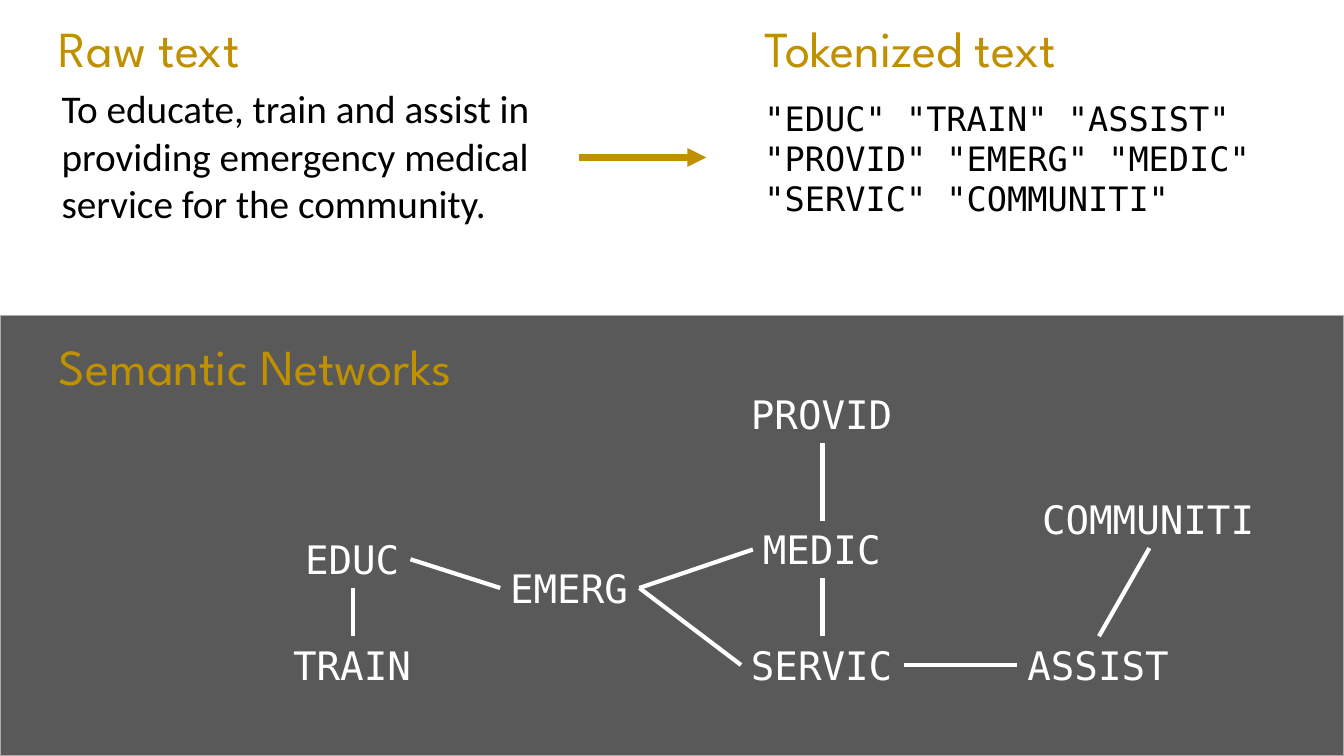
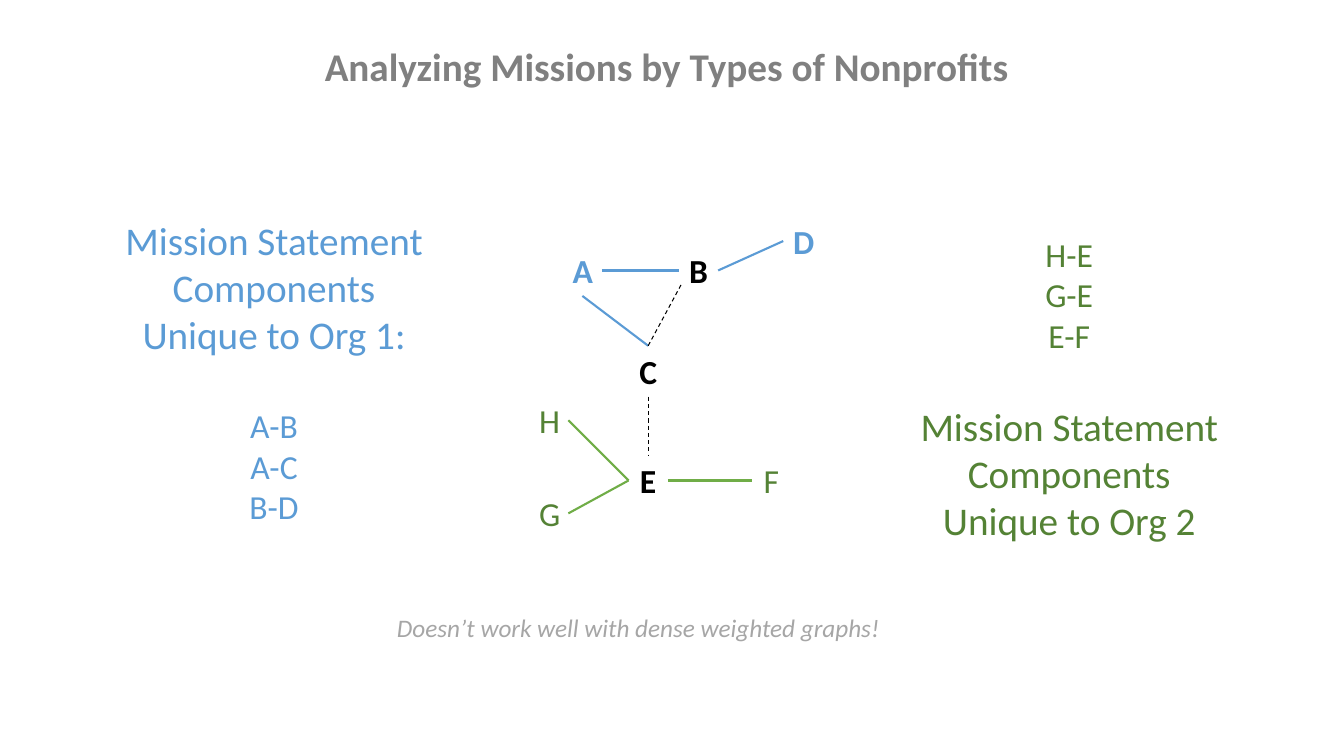
from lxml.etree import SubElement
from pptx import Presentation
from pptx.dml.color import RGBColor
from pptx.enum.dml import MSO_LINE
from pptx.enum.shapes import MSO_CONNECTOR, MSO_SHAPE
from pptx.enum.text import MSO_ANCHOR, MSO_AUTO_SIZE, PP_ALIGN
from pptx.oxml.ns import qn
from pptx.util import Pt

# Shared look
WIDE, HIGH = 960, 540
BLACK = RGBColor(0x00, 0x00, 0x00)
WHITE = RGBColor(0xFF, 0xFF, 0xFF)
GOLD = RGBColor(0xBF, 0x90, 0x00)
SLATE = RGBColor(0x59, 0x59, 0x59)
EDGE = RGBColor(0xAF, 0xAB, 0xAB)
GRAY = RGBColor(0x80, 0x80, 0x80)
PALE = RGBColor(0xA6, 0xA6, 0xA6)
BLUE = RGBColor(0x5B, 0x9B, 0xD5)
GREEN = RGBColor(0x54, 0x82, 0x35)
LEAF = RGBColor(0x70, 0xAD, 0x47)
BODY, MONO, HEAD = "Calibri", "DejaVu Sans Mono", "League Spartan"
TOP, LEFT, BOTTOM, RIGHT = range(4)


def rect(slide, box, fill, edge=None):
    shape = slide.shapes.add_shape(MSO_SHAPE.RECTANGLE, *map(Pt, box))
    shape.shadow.inherit = False
    shape.fill.solid()
    shape.fill.fore_color.rgb = fill
    if edge:
        shape.line.color.rgb = edge
        shape.line.width = Pt(1)
    else:
        shape.line.fill.background()
    return shape


def text(slide, box, *paras, size=28, font=BODY, color=BLACK, bold=False,
         italic=False, align=PP_ALIGN.LEFT, fill=None, inset=0):
    """Each part is a string or a (string, size, space before) tuple."""
    if fill is None:
        shape = slide.shapes.add_textbox(*map(Pt, box))
        frame = shape.text_frame
        frame.word_wrap = False
    else:
        shape = rect(slide, box, fill)
        frame = shape.text_frame
        frame.word_wrap = True
        frame.vertical_anchor = MSO_ANCHOR.MIDDLE
        frame.margin_left = frame.margin_right = Pt(inset)
        frame.margin_top = frame.margin_bottom = 0
    frame.auto_size = MSO_AUTO_SIZE.SHAPE_TO_FIT_TEXT
    for i, item in enumerate(paras):
        words, points, gap = (item, size, 0) if isinstance(item, str) else item
        para = frame.add_paragraph() if i else frame.paragraphs[0]
        para.text = words
        para.alignment = align
        if gap:
            para.space_before = Pt(gap)
        for run in para.runs:
            run.font.name = font
            run.font.size = Pt(points)
            run.font.bold = bold
            run.font.italic = italic
            run.font.color.rgb = color
    return shape


def line(slide, color, width, start=(0, 0), end=(0, 0), dash=False, arrow=False):
    """An end is an (x, y) point or a (shape, side) pair."""
    joins = [not isinstance(spot[0], (int, float)) for spot in (start, end)]
    spots = [(0, 0) if join else spot for join, spot in zip(joins, (start, end))]
    wire = slide.shapes.add_connector(
        MSO_CONNECTOR.STRAIGHT, *(Pt(v) for spot in spots for v in spot))
    if joins[0]:
        wire.begin_connect(*start)
    if joins[1]:
        wire.end_connect(*end)
    wire.line.color.rgb = color
    wire.line.width = Pt(width)
    if dash:
        wire.line.dash_style = MSO_LINE.DASH
    if arrow:
        SubElement(wire.line._get_or_add_ln(), qn("a:tailEnd"), type="triangle")
    SubElement(wire._element.spPr, qn("a:effectLst"))
    return wire


def title(slide, x, y, width, words):
    text(slide, (x, y, width, 51), words, size=36, font=HEAD, color=GOLD)


# Slide 1: from raw text to a network
def source(slide, x, y):
    title(slide, x, y, 168, "Raw text")
    text(slide, (x + 9, y + 51, 397, 102),
         "To educate, train and assist in providing emergency medical "
         "service for the community.", fill=WHITE)


def tokens(slide, x, y):
    title(slide, x, y, 265, "Tokenized text")
    text(slide, (x, y + 60.5, 377, 87),
         '"EDUC" "TRAIN" "ASSIST" "PROVID" "EMERG" "MEDIC" "SERVIC" "COMMUNITI"',
         size=24, font=MONO, fill=WHITE, inset=7.2)


def network(slide, x, y, width, height):
    rect(slide, (x, y, width, height), SLATE, EDGE)
    title(slide, x + 35, y + 10, 351, "Semantic Networks")
    # Middle and top of each word
    places = {
        "EDUC": (252, 153.5), "TRAIN": (252, 229), "ASSIST": (785, 229),
        "PROVID": (587.5, 50), "COMMUNITI": (821, 125), "SERVIC": (587.5, 229),
        "EMERG": (407, 174), "MEDIC": (587.5, 146.5),
    }
    nodes = {}
    for word, (mid, top) in places.items():
        wide = 17 * len(word) + 14.4
        nodes[word] = text(slide, (x + mid - wide / 2, y + top, wide, 41), word,
                           font=MONO, color=WHITE)
    for one, side, two, face in (
            ("EDUC", RIGHT, "EMERG", LEFT), ("EDUC", BOTTOM, "TRAIN", TOP),
            ("PROVID", BOTTOM, "MEDIC", TOP), ("EMERG", RIGHT, "MEDIC", LEFT),
            ("SERVIC", TOP, "MEDIC", BOTTOM), ("EMERG", RIGHT, "SERVIC", LEFT),
            ("COMMUNITI", BOTTOM, "ASSIST", TOP),
            ("SERVIC", RIGHT, "ASSIST", LEFT)):
        line(slide, WHITE, 3, (nodes[one], side), (nodes[two], face))


def steps(slide):
    network(slide, 0, 225.5, WIDE, 314.5)
    source(slide, 35, 9)
    tokens(slide, 539, 9)
    line(slide, GOLD, 4.5, (413.5, 112.5), (504.5, 112.5), arrow=True)


# Slide 2: two missions compared
def graph(slide, x, y):
    wide, high = 28, 36.4
    # Middle and top of each letter
    places = {
        "A": (39, 21, BLUE), "B": (122, 21, BLACK), "C": (86, 93, BLACK),
        "D": (196.5, 0, BLUE), "E": (86, 171, BLACK), "F": (174, 171, GREEN),
        "G": (15, 194.5, GREEN), "H": (15, 128, GREEN),
    }
    nodes = {}
    for name, (mid, top, color) in places.items():
        nodes[name] = text(slide, (x + mid - wide / 2, y + top, wide, high), name,
                           size=24, color=color, bold=color != GREEN,
                           align=PP_ALIGN.CENTER)
    for one, side, two, face, color in (
            ("A", RIGHT, "B", LEFT, BLUE), ("A", BOTTOM, "C", TOP, BLUE),
            ("B", RIGHT, "D", LEFT, BLUE), ("E", RIGHT, "F", LEFT, LEAF),
            ("H", RIGHT, "E", LEFT, LEAF), ("G", RIGHT, "E", LEFT, LEAF)):
        line(slide, color, 1.5, (nodes[one], side), (nodes[two], face))
    # Links that both missions share
    for start, end in (((nodes["C"], TOP), (x + 110, y + 48.5)),
                       ((nodes["C"], BOTTOM), (nodes["E"], TOP))):
        line(slide, BLACK, 0.75, start, end, dash=True)


def panel(slide, x, y, color, *paras):
    text(slide, (x, y, 235.5, 230.5), *paras, size=24, color=color,
         align=PP_ALIGN.CENTER)


def compare(slide):
    text(slide, (222, 26.5, 508, 41), "Analyzing Missions by Types of Nonprofits",
         color=GRAY, bold=True, align=PP_ALIGN.CENTER)
    graph(slide, 377, 154)
    head = "Mission Statement\vComponents\vUnique to Org "
    panel(slide, 78, 151, BLUE, (head + "1:", 28, 0), ("A-B", 24, 34), "A-C", "B-D")
    panel(slide, 646, 163.5, GREEN, "H-E", "G-E", "E-F", (head + "2", 28, 34))
    text(slide, (276.5, 433.5, 363, 29),
         "Doesn’t work well with dense weighted graphs!",
         size=18, color=PALE, italic=True)


def main():
    deck = Presentation()
    deck.slide_width, deck.slide_height = Pt(WIDE), Pt(HIGH)
    for build in (steps, compare):
        build(deck.slides.add_slide(deck.slide_layouts[6]))
    deck.save("out.pptx")


if __name__ == "__main__":
    main()
